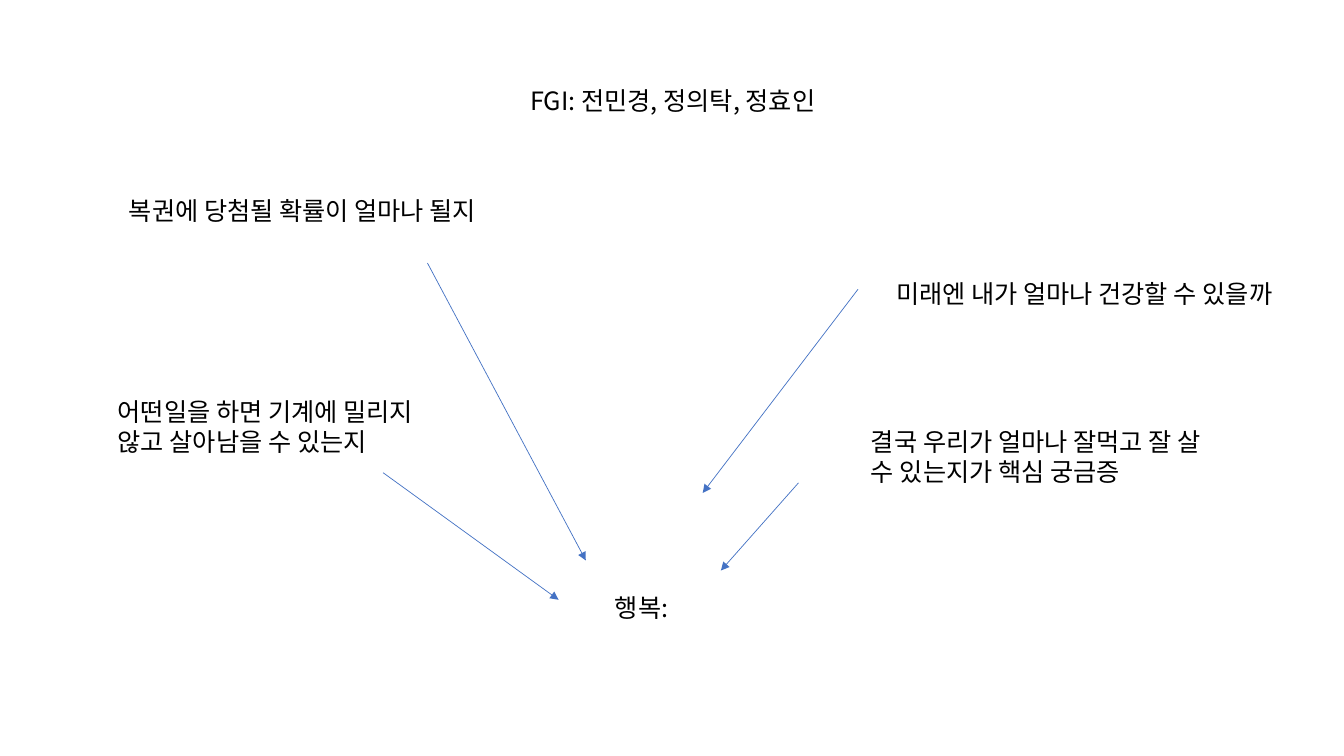
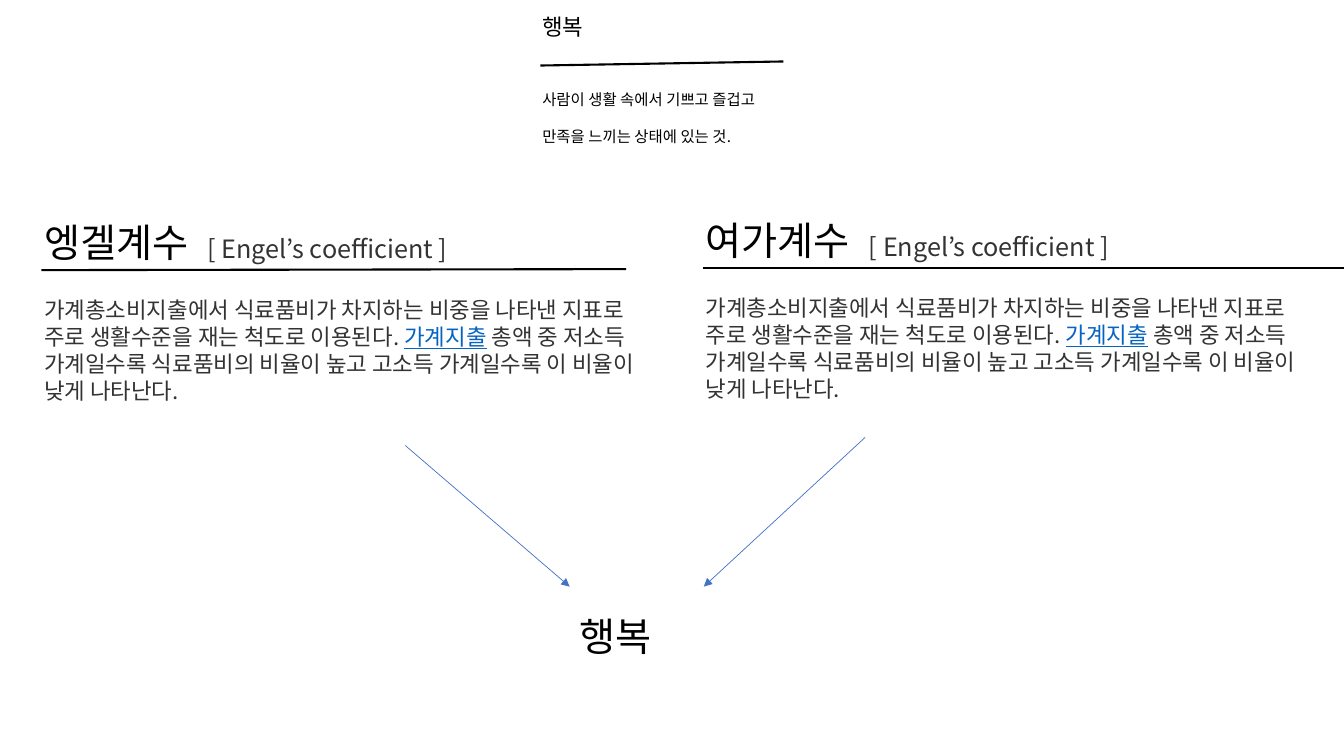
from pptx import Presentation
from pptx.dml.color import RGBColor
from pptx.enum.shapes import MSO_CONNECTOR
from pptx.oxml.ns import qn
from pptx.util import Inches, Pt
from lxml.etree import SubElement

FONT = "Noto Sans CJK KR"
COLORS = {"ink": "000000", "body": "333333", "link": "0563C1", "arrow": "4472C4"}


class Deck:
    """Holds the shared style and the slide being filled."""

    def __init__(self):
        self.presentation = Presentation()
        self.presentation.slide_width = Inches(13.33)
        self.presentation.slide_height = Inches(7.5)
        self.slide = None

    def new_slide(self):
        layout = self.presentation.slide_layouts[6]
        self.slide = self.presentation.slides.add_slide(layout)

    def text(self, left, top, width, height, paragraphs, size=18, color="ink", gap=0):
        """Each paragraph is a string or a list of (text, color, underline) runs."""
        shape = self.slide.shapes.add_textbox(
            Inches(left), Inches(top), Inches(width), Inches(height))
        frame = shape.text_frame
        frame.word_wrap = True
        for index, content in enumerate(paragraphs):
            paragraph = frame.add_paragraph() if index else frame.paragraphs[0]
            font = paragraph.font
            font.size = Pt(size)
            font.name = FONT
            font.color.rgb = RGBColor.from_string(COLORS[color])
            # Korean glyphs take the East Asian typeface
            SubElement(font._element, qn("a:ea"), typeface=FONT)
            paragraph.space_before = Pt(gap if index else 0)
            if isinstance(content, str):
                paragraph.add_run().text = content
                continue
            for words, run_color, underline in content:
                run = paragraph.add_run()
                run.text = words
                run.font.color.rgb = RGBColor.from_string(COLORS[run_color])
                run.font.underline = underline

    def line(self, start, end, color="ink", width=1.5):
        connector = self.slide.shapes.add_connector(
            MSO_CONNECTOR.STRAIGHT, *(Inches(value) for value in start + end))
        connector.line.color.rgb = RGBColor.from_string(COLORS[color])
        connector.line.width = Pt(width)
        SubElement(connector._element.spPr, qn("a:effectLst"))
        return connector

    def arrow(self, start, end):
        connector = self.line(start, end, "arrow", 0.5)
        SubElement(connector.line._get_or_add_ln(), qn("a:tailEnd"), type="triangle")

    def definition(self, left, top, term, rule_end):
        """Term, its English name, a rule and the explanation."""
        self.text(left, top, 3.31, 0.57, [term], size=28)
        self.text(left + 1.62, top + 0.15, 2.93, 0.4,
                  ["[\u00a0Engel’s\u00a0coefficient\u00a0]"], color="body")
        self.line((left + 0.07, top + 0.56), rule_end)
        self.text(left, top + 0.77, 6.18, 1.45, [EXPLANATION], size=16, color="body")


EXPLANATION = [
    ("가계총소비지출에서 식료품비가 차지하는 비중을 나타낸 지표로 "
     "주로 생활수준을 재는 척도로 이용된다.\u00a0", "body", False),
    ("가계지출", "link", True),
    ("\u00a0총액 중 저소득 가계일수록 식료품비의 비율이 높고 "
     "고소득 가계일수록 이 비율이 낮게 나타난다.", "body", False),
]

deck = Deck()

# Slide 1: questions that lead to happiness
deck.new_slide()
for left, top, width, height, words in [
    (5.16, 0.8, 3.2, 0.71, "FGI: 전민경, 정의탁, 정효인"),
    (1.18, 1.89, 4.09, 0.4, "복권에 당첨될 확률이 얼마나 될지"),
    (8.79, 2.71, 4.44, 0.4, "미래엔 내가 얼마나 건강할 수 있을까"),
    (1.07, 3.88, 3.17, 0.71, "어떤일을 하면 기계에 밀리지 않고 살아남을 수 있는지"),
    (8.54, 4.18, 3.65, 0.71, "결국 우리가 얼마나 잘먹고 잘 살 수 있는지가 핵심 궁금증"),
    (6, 5.83, 2.1, 0.4, "행복:"),
]:
    deck.text(left, top, width, height, [words])
for start, end in [
    ((4.24, 2.61), (5.81, 5.56)),
    ((3.8, 4.69), (5.54, 5.95)),
    ((8.51, 2.87), (6.97, 4.89)),
    ((7.92, 4.79), (7.15, 5.66)),
]:
    deck.arrow(start, end)

# Slide 2: happiness defined, and two coefficients behind it
deck.new_slide()
deck.text(5.28, 0.08, 3.31, 0.37, ["행복"], size=16)
deck.line((5.36, 0.65), (7.77, 0.61))
deck.text(5.28, 0.85, 6.18, 0.84,
          ["사람이 생활 속에서 기쁘고 즐겁고", "만족을 느끼는 상태에 있는 것."],
          size=11, gap=13)
deck.definition(0.34, 2.12, "엥겔계수", (6.21, 2.67))
deck.definition(6.9, 2.1, "여가계수", (13.33, 2.66))
deck.arrow((4.02, 4.42), (5.65, 5.82))
deck.arrow((8.58, 4.34), (6.98, 5.82))
deck.text(5.65, 6.03, 3.31, 0.57, ["행복"], size=28)

deck.presentation.save("out.pptx")
